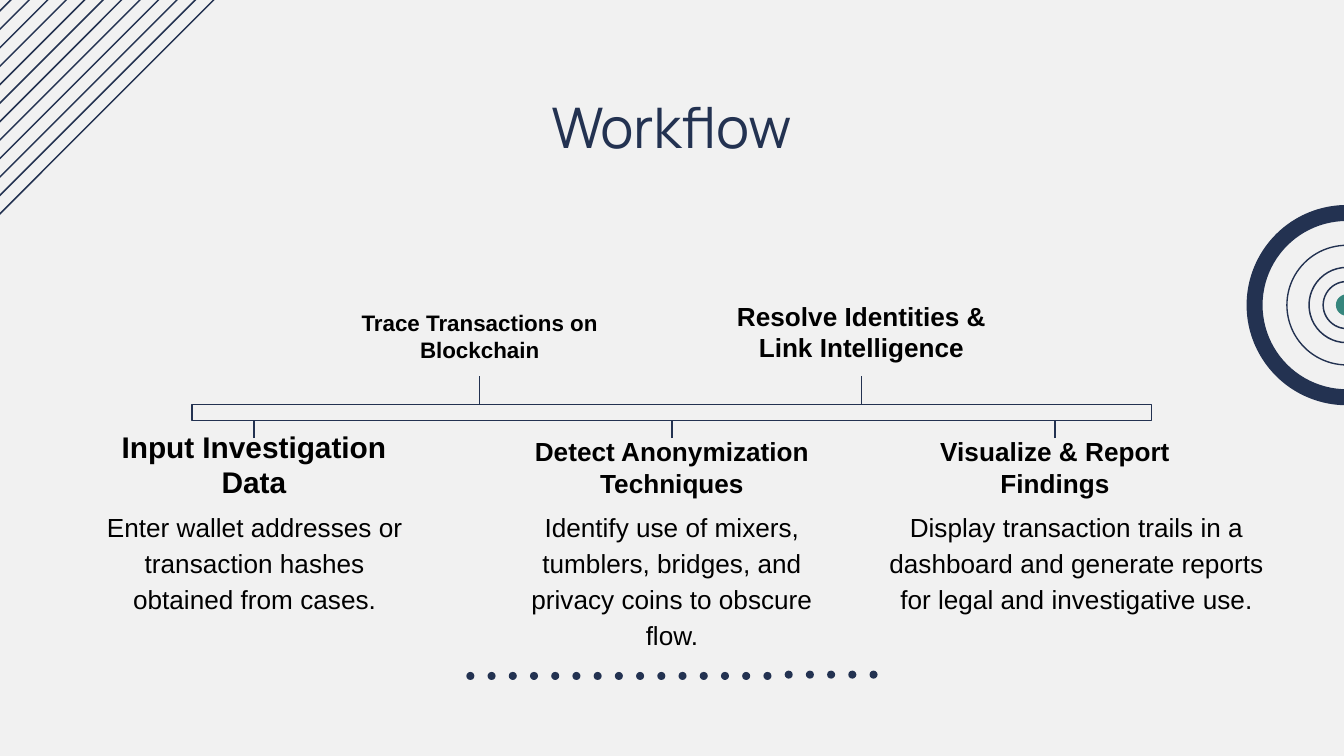
"""Build the Workflow timeline slide."""
from dataclasses import dataclass

from lxml import etree
from pptx import Presentation
from pptx.dml.color import RGBColor
from pptx.enum.shapes import MSO_CONNECTOR, MSO_SHAPE
from pptx.enum.text import MSO_ANCHOR, PP_ALIGN
from pptx.oxml.ns import qn
from pptx.shapes.autoshape import Shape
from pptx.shapes.connector import Connector
from pptx.slide import Slide
from pptx.util import Inches, Pt

STRAIGHT = MSO_CONNECTOR.STRAIGHT
RECTANGLE, OVAL, DONUT = MSO_SHAPE.RECTANGLE, MSO_SHAPE.OVAL, MSO_SHAPE.DONUT
TOP, BOTTOM = MSO_ANCHOR.TOP, MSO_ANCHOR.BOTTOM
CENTER = PP_ALIGN.CENTER
TOP_SITE, BOTTOM_SITE = 0, 2

SLIDE_WIDTH = Inches(10)
SLIDE_HEIGHT = SLIDE_WIDTH * 9 // 16

NAVY, TEAL, BLACK, PAPER = "233251", "36867D", "000000", "F1F1F1"
THIN, MEDIUM = 0.75, 0.78

STRIPE_COUNT, STRIPE_STEP, STRIPE_SPAN = 12, 1.51 / 11, 2.18
STRIPE_LEFT, STRIPE_TOP = -0.04, -0.55

DOT_COUNT, DOT_SIZE = 20, 0.06
DOT_LEFT, DOT_STEP, DOT_TOP = 3.47, 3 / 19, 5.0

TARGET_X, TARGET_Y = 10.02, 2.27
BAR_TOP, BAR_BOTTOM = 3.01, 3.13


@dataclass(frozen=True)
class Box:
    """Position and size in inches."""

    left: float
    top: float
    width: float
    height: float

    def lengths(self) -> list[int]:
        """Return the four values as slide lengths."""
        return [Inches(value) for value in (self.left, self.top, self.width, self.height)]


@dataclass(frozen=True)
class Label:
    """A centred text with its place and format."""

    text: str
    box: Box
    size: float = 14
    bold: bool = False
    anchor: MSO_ANCHOR = TOP
    spacing: float = 1.0
    font: str = "Arial"
    color: str = BLACK


@dataclass(frozen=True)
class Step:
    """A heading on the timeline, above or below the bar."""

    heading: str
    box: Box
    size: float = 14
    above: bool = False


@dataclass(frozen=True)
class Circle:
    """A part of the target, drawn around its centre."""

    diameter: float
    fill: str | None = None
    line: str | None = None
    width: float = MEDIUM
    kind: MSO_SHAPE = OVAL


TITLE = Label("Workflow", Box(0.95, 0.59, 8.09, 0.63), 30, font="Manrope", color=NAVY)
STEPS = [
    Step("Input Investigation Data", Box(0.72, 3.26, 2.34, 0.56), 16),
    Step("Trace Transactions on Blockchain", Box(2.4, 2.27, 2.34, 0.53), 12, True),
    Step("Detect Anonymization Techniques", Box(3.83, 3.26, 2.34, 0.55)),
    Step("Resolve Identities & Link Intelligence", Box(5.24, 2.34, 2.34, 0.46), above=True),
    Step("Visualize & Report Findings", Box(6.68, 3.26, 2.34, 0.55)),
]
DETAILS = [
    ("Enter wallet addresses or transaction hashes obtained from cases.",
     Box(0.6, 3.67, 2.59, 1)),
    ("Identify use of mixers, tumblers, bridges, and privacy coins to obscure flow.",
     Box(3.66, 3.67, 2.68, 0.66)),
    ("Display transaction trails in a dashboard and generate reports "
     "for legal and investigative use.", Box(6.5, 3.67, 3.02, 0.66)),
]
CIRCLES = [
    Circle(0.89, line=NAVY, width=THIN),
    Circle(0.56, line=NAVY),
    Circle(0.16, fill=TEAL),
    Circle(0.35, line=NAVY),
    Circle(1.49, fill=NAVY, kind=DONUT),
]


def color_of(hex_text: str) -> RGBColor:
    """Turn a hex string into a colour."""
    return RGBColor.from_string(hex_text)


def set_all(target: object, values: dict[str, object]) -> None:
    """Set every named attribute on the target."""
    for name, value in values.items():
        setattr(target, name, value)


def add_shape(slide: Slide, kind: MSO_SHAPE, box: Box, fill: str | None = None,
              line: str | None = None, width: float = THIN) -> Shape:
    """Draw a preset shape with an optional fill and outline."""
    shape = slide.shapes.add_shape(kind, *box.lengths())
    shape.shadow.inherit = False
    if fill:
        shape.fill.solid()
        shape.fill.fore_color.rgb = color_of(fill)
    else:
        shape.fill.background()
    if line:
        shape.line.color.rgb = color_of(line)
        shape.line.width = Pt(width)
    else:
        shape.line.fill.background()
    return shape


def add_line(slide: Slide, start: tuple[float, float], end: tuple[float, float],
             width: float = THIN) -> Connector:
    """Draw a straight navy line without a shadow."""
    points = [Inches(value) for value in (*start, *end)]
    connector = slide.shapes.add_connector(STRAIGHT, *points)
    connector.line.color.rgb = color_of(NAVY)
    connector.line.width = Pt(width)
    etree.SubElement(connector._element.spPr, qn("a:effectLst"))
    return connector


def add_label(slide: Slide, label: Label) -> Shape:
    """Add a centred text box."""
    shape = slide.shapes.add_textbox(*label.box.lengths())
    frame = shape.text_frame
    margins = {f"margin_{side}": Inches(0.1) for side in ("left", "top", "right", "bottom")}
    set_all(frame, {"word_wrap": True, "vertical_anchor": label.anchor, **margins})
    paragraph = frame.paragraphs[0]
    set_all(paragraph, {"alignment": CENTER, "line_spacing": label.spacing})
    run = paragraph.add_run()
    run.text = label.text
    set_all(run.font, {"name": label.font, "size": Pt(label.size), "bold": label.bold})
    run.font.color.rgb = color_of(label.color)
    return shape


def add_step(slide: Slide, step: Step, bar: Shape) -> None:
    """Add a heading and the tick that ties it to the bar."""
    box = step.box
    heading = add_label(slide, Label(step.heading, box, step.size, True, BOTTOM))
    x = box.left + box.width / 2
    start = box.top + box.height if step.above else box.top
    tick = add_line(slide, (x, start), (x, BAR_TOP if step.above else BAR_BOTTOM))
    tick.begin_connect(heading, BOTTOM_SITE if step.above else TOP_SITE)
    if not step.above and abs(x - 5) < 0.01:
        tick.end_connect(bar, BOTTOM_SITE)


def add_decorations(slide: Slide) -> None:
    """Draw the corner stripes, the dotted row and the target."""
    for index in range(STRIPE_COUNT):
        left = STRIPE_LEFT - index * STRIPE_STEP
        add_line(slide, (left, STRIPE_TOP + STRIPE_SPAN), (left + STRIPE_SPAN, STRIPE_TOP), MEDIUM)
    for index in range(DOT_COUNT):
        top = DOT_TOP if index < 15 else DOT_TOP - 0.01
        add_shape(slide, OVAL, Box(DOT_LEFT + index * DOT_STEP, top, DOT_SIZE, DOT_SIZE), NAVY)
    for circle in CIRCLES:
        size = circle.diameter
        box = Box(TARGET_X - size / 2, TARGET_Y - size / 2, size, size)
        shape = add_shape(slide, circle.kind, box, circle.fill, circle.line, circle.width)
        if circle.kind == DONUT:
            shape.adjustments[0] = 0.08


def main() -> None:
    """Build and save the presentation."""
    presentation = Presentation()
    set_all(presentation, {"slide_width": SLIDE_WIDTH, "slide_height": SLIDE_HEIGHT})
    slide = presentation.slides.add_slide(presentation.slide_layouts[6])
    slide.background.fill.solid()
    slide.background.fill.fore_color.rgb = color_of(PAPER)
    add_decorations(slide)
    add_label(slide, TITLE)
    bar = add_shape(slide, RECTANGLE, Box(1.43, BAR_TOP, 7.14, BAR_BOTTOM - BAR_TOP), line=NAVY)
    for step in STEPS:
        add_step(slide, step, bar)
    for text, box in DETAILS:
        add_label(slide, Label(text, box, spacing=1.15))
    presentation.save("out.pptx")


if __name__ == "__main__":
    main()
